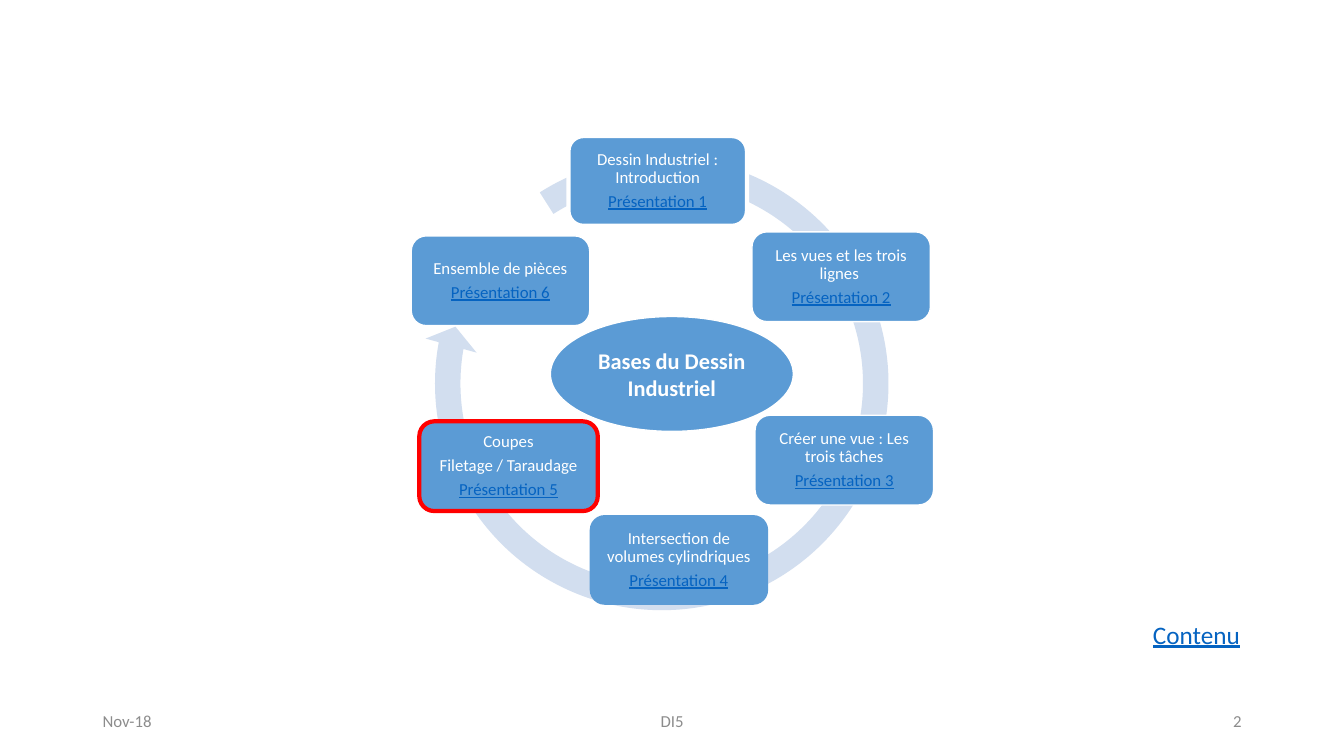
from pptx import Presentation, util as u
from pptx.dml.color import RGBColor
from pptx.enum import shapes, text

BLUE = RGBColor(0x5B, 0x9B, 0xD5)
PALE = RGBColor(0xD2, 0xDE, 0xEF)
LINK = RGBColor(0x05, 0x63, 0xC1)
GREY = RGBColor(0x8C, 0x8C, 0x8C)
RED = RGBColor(0xFF, 0x00, 0x00)
WHITE = RGBColor(0xFF, 0xFF, 0xFF)
FORM = shapes.MSO_SHAPE
SIDE = text.PP_ALIGN
MID = text.MSO_ANCHOR.MIDDLE
TOP = text.MSO_ANCHOR.TOP


class Deck:
    """Draws on one slide, with places in percent of its width and height."""

    font = "Calibri"
    step = {"line_spacing": 0.9, "space_after": u.Pt(4.2)}
    inset = dict.fromkeys(
        ("margin_left", "margin_top", "margin_right", "margin_bottom"),
        u.Inches(0.05))

    def __init__(self):
        self.prs = Presentation()
        self.prs.slide_width = u.Inches(13.33)
        self.prs.slide_height = u.Inches(7.5)
        self.page = self.prs.slides.add_slide(self.prs.slide_layouts[6])

    def put(self, item, form):
        for key, val in form.items():
            setattr(item, key, val)

    def area(self, x, y, w, h):
        wide, high = self.prs.slide_width, self.prs.slide_height
        return [round(part * size / 100)
                for part, size in zip((x, y, w, h), (wide, high) * 2)]

    def words(self, frame, lines, size, color, side=SIDE.CENTER, bold=False,
              para=None, box=None, anchor=MID):
        self.put(frame, {"word_wrap": True, "vertical_anchor": anchor,
                         **(box or {})})
        for i, line in enumerate(lines):
            p = frame.add_paragraph() if i else frame.paragraphs[0]
            self.put(p, {"alignment": side, **(para or {})})
            run = p.add_run()
            run.text = line
            link = line.startswith(("Présentation", "Contenu"))
            self.put(run.font, {"name": self.font, "size": u.Pt(size),
                                "bold": bold, "underline": link})
            run.font.color.rgb = LINK if link else color

    def label(self, area, line, size, color, side, anchor=MID):
        box = self.page.shapes.add_textbox(*self.area(*area))
        self.words(box.text_frame, [line], size, color, side, anchor=anchor)

    def shape(self, kind, area, fill, edge=None, width=1):
        item = self.page.shapes.add_shape(kind, *self.area(*area))
        item.shadow.inherit = False
        item.fill.solid()
        item.fill.fore_color.rgb = fill
        if edge is None:
            item.line.fill.background()
        else:
            item.line.color.rgb = edge
            item.line.width = u.Pt(width)
        return item

    def ring(self, area, turn, bends):
        item = self.shape(FORM.CIRCULAR_ARROW, area, PALE)
        item.rotation = turn
        for i, bend in enumerate(bends):
            item.adjustments[i] = bend

    def card(self, x, y, edge, width, lines):
        item = self.shape(FORM.ROUNDED_RECTANGLE, (x, y, 13.28, 11.87),
                          BLUE, edge, width)
        self.words(item.text_frame, lines, 12, WHITE,
                   para=self.step, box=self.inset)

    def hub(self, area, line):
        item = self.shape(FORM.OVAL, area, BLUE, WHITE)
        self.words(item.text_frame, [line], 16, WHITE, bold=True)


FOOT = [
    (6.9, 22.5, "Nov-18", SIDE.LEFT),
    (33.13, 33.75, "DI5", SIDE.CENTER),
    (70.63, 22.5, "2", SIDE.RIGHT),
]
CARDS = [
    (42.3, 18, WHITE, 3, ["Dessin Industriel : Introduction"]),
    (55.95, 30.67, WHITE, 1, ["Les vues et les trois lignes "]),
    (56.18, 54.93, WHITE, 1, ["Créer une vue : Les trois tâches"]),
    (43.88, 68.13, None, 0, ["Intersection de volumes cylindriques"]),
    (31.2, 55.73, RED, 3, ["Coupes", "Filetage / Taraudage"]),
    (30.6, 31.2, WHITE, 1, ["Ensemble de pièces"]),
]


def main():
    deck = Deck()
    for x, w, line, side in FOOT:
        deck.label((x, 92.67, w, 5.33), line, 12, GREY, side)
    deck.ring((31.35, 18.93, 35.78, 63.6), 312.4,
              (0.053, 3.126, 142.684, 171.035, 0.055))
    for n, (x, y, edge, width, lines) in enumerate(CARDS, 1):
        deck.card(x, y, edge, width, lines + [f"Présentation {n}"])
    deck.hub((40.95, 41.87, 18.08, 15.2), "Bases du Dessin Industriel")
    deck.label((85.05, 81.2, 9.22, 5.33), "Contenu", 18, LINK, SIDE.LEFT, TOP)
    deck.prs.save("out.pptx")


if __name__ == "__main__":
    main()
